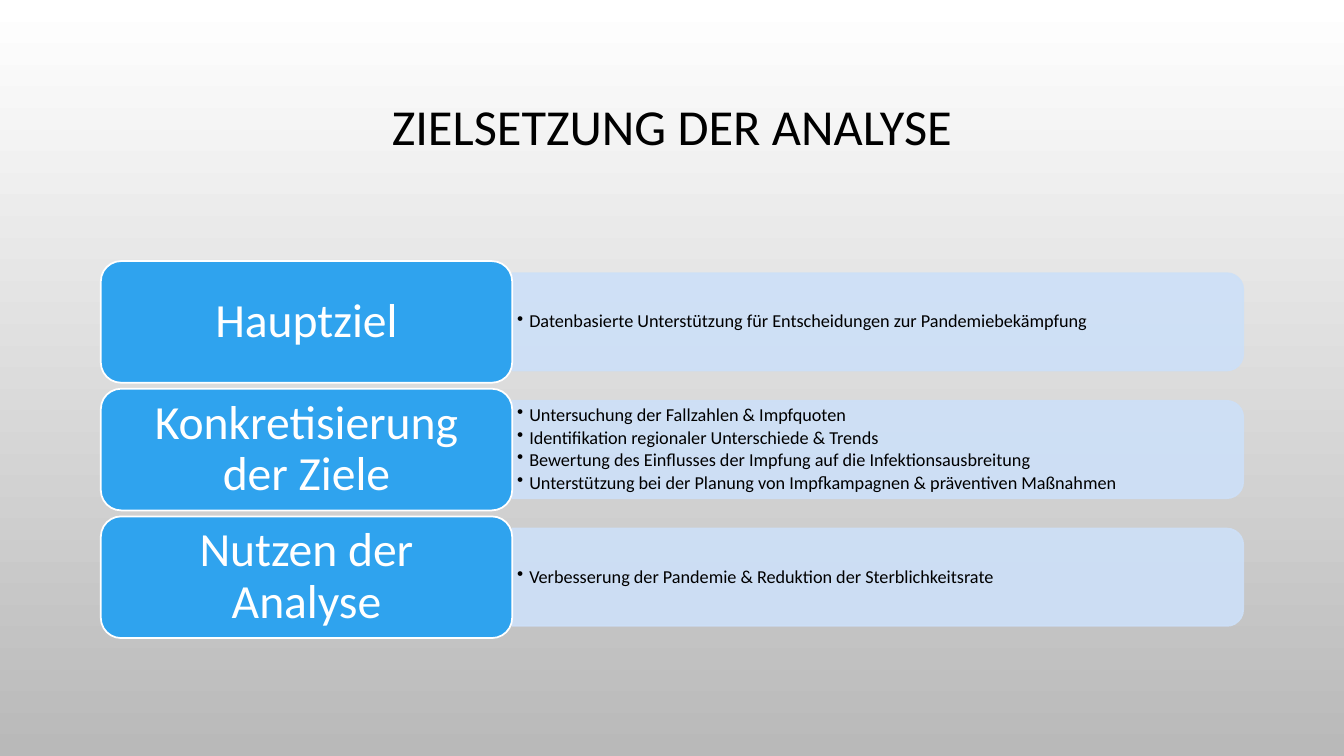
from lxml import etree
from pptx import Presentation
from pptx.dml.color import RGBColor
from pptx.enum.shapes import MSO_SHAPE
from pptx.enum.text import MSO_ANCHOR, PP_ALIGN
from pptx.oxml.ns import qn
from pptx.util import Inches, Pt

ROUNDED = MSO_SHAPE.ROUNDED_RECTANGLE
ROUNDED_TOP = MSO_SHAPE.ROUND_2_SAME_RECTANGLE
MIDDLE = MSO_ANCHOR.MIDDLE
CENTER, LEFT = PP_ALIGN.CENTER, PP_ALIGN.LEFT

FONT = "Calibri"
BLACK, WHITE = "000000", "FFFFFF"
GREY, BLUE, PALE_BLUE = "B9B9B9", "2FA3EE", "CDE0F8"

GOALS = [
    ("Hauptziel", [
        "Datenbasierte Unterstützung für Entscheidungen zur Pandemiebekämpfung",
    ]),
    ("Konkretisierung der Ziele", [
        "Untersuchung der Fallzahlen & Impfquoten",
        "Identifikation regionaler Unterschiede & Trends",
        "Bewertung des Einflusses der Impfung auf die Infektionsausbreitung",
        "Unterstützung bei der Planung von Impfkampagnen & präventiven Maßnahmen",
    ]),
    ("Nutzen der Analyse", [
        "Verbesserung der Pandemie & Reduktion der Sterblichkeitsrate",
    ]),
]


def rgb(color):
    return RGBColor.from_string(color)


def write(shape, lines, size, color, align, insets):
    """Fill a shape with paragraphs; insets are left, top, right, bottom."""
    frame = shape.text_frame
    frame.word_wrap = True
    frame.vertical_anchor = MIDDLE
    (frame.margin_left, frame.margin_top,
     frame.margin_right, frame.margin_bottom) = map(Inches, insets)
    frame.text = "\n".join(lines)
    for paragraph in frame.paragraphs:
        paragraph.alignment = align
        paragraph.line_spacing = 0.9
        paragraph.font.name = FONT
        paragraph.font.size = Pt(size)
        paragraph.font.color.rgb = rgb(color)
    return frame


def add_bar(slide, preset, left, top, width, height, fill, line):
    bar = slide.shapes.add_shape(
        preset, Inches(left), Inches(top), Inches(width), Inches(height))
    bar.shadow.inherit = False
    bar.fill.solid()
    bar.fill.fore_color.rgb = rgb(fill)
    bar.line.color.rgb = rgb(line)
    bar.line.width = Pt(1.25)
    return bar


def add_background(slide):
    fill = slide.background.fill
    fill.gradient()
    fill.gradient_angle = 270
    for stop, color in zip(fill.gradient_stops, (WHITE, GREY)):
        stop.color.rgb = rgb(color)


def add_title(slide, left, top, width, height):
    title = slide.shapes.add_textbox(
        Inches(left), Inches(top), Inches(width), Inches(height))
    # The deep bottom inset lifts the line above the middle of the box
    write(title, ["ZIELSETZUNG DER ANALYSE"], 36, BLACK, CENTER,
          (0.1, 0.05, 0.1, 0.6))


def add_details(slide, left, top, width, height, points):
    # Panel: turned by 90 degrees so that its right corners are the round ones
    panel = add_bar(slide, ROUNDED_TOP, left + (width - height) / 2,
                    top + (height - width) / 2, height, width,
                    PALE_BLUE, PALE_BLUE)
    panel.rotation = 90
    for color in panel._element.spPr.iter(qn("a:srgbClr")):
        etree.SubElement(color, qn("a:alpha"), val="90000")

    # Bulleted points
    inset = 0.05
    bullets = slide.shapes.add_textbox(
        Inches(left), Inches(top + inset),
        Inches(width - inset), Inches(height - 2 * inset))
    frame = write(bullets, points, 13, BLACK, LEFT, (0.05, 0.03, 0.05, 0.03))
    for paragraph in frame.paragraphs:
        paragraph.space_after = Pt(2)
        properties = paragraph._p.get_or_add_pPr()
        properties.set("marL", str(Inches(0.12)))
        properties.set("indent", str(Inches(-0.12)))
        bullet = etree.Element(qn("a:buChar"), char="•")
        properties.find(qn("a:spcAft")).addnext(bullet)


def add_goal(slide, left, top, width, height, heading, points):
    heading_width = 4.08
    panel_height = 0.8 * height
    add_details(slide, left + heading_width, top + (height - panel_height) / 2,
                width - heading_width, panel_height, points)
    label = add_bar(slide, ROUNDED, left, top, heading_width, height,
                    BLUE, WHITE)
    write(label, [heading], 34, WHITE, CENTER, (0.2, 0.13, 0.2, 0.13))


def add_goals(slide, left, top, width, height):
    gap = 0.06
    row_height = (height - gap * (len(GOALS) - 1)) / len(GOALS)
    for row, (heading, points) in enumerate(GOALS):
        add_goal(slide, left, top + row * (row_height + gap), width,
                 row_height, heading, points)


def main():
    deck = Presentation()
    deck.slide_width, deck.slide_height = Inches(13.33), Inches(7.5)
    slide = deck.slides.add_slide(deck.slide_layouts[6])
    add_background(slide)
    add_title(slide, 1, 0.68, 11.33, 1.75)
    add_goals(slide, 1, 2.59, 11.33, 3.74)
    deck.save("out.pptx")


if __name__ == "__main__":
    main()
